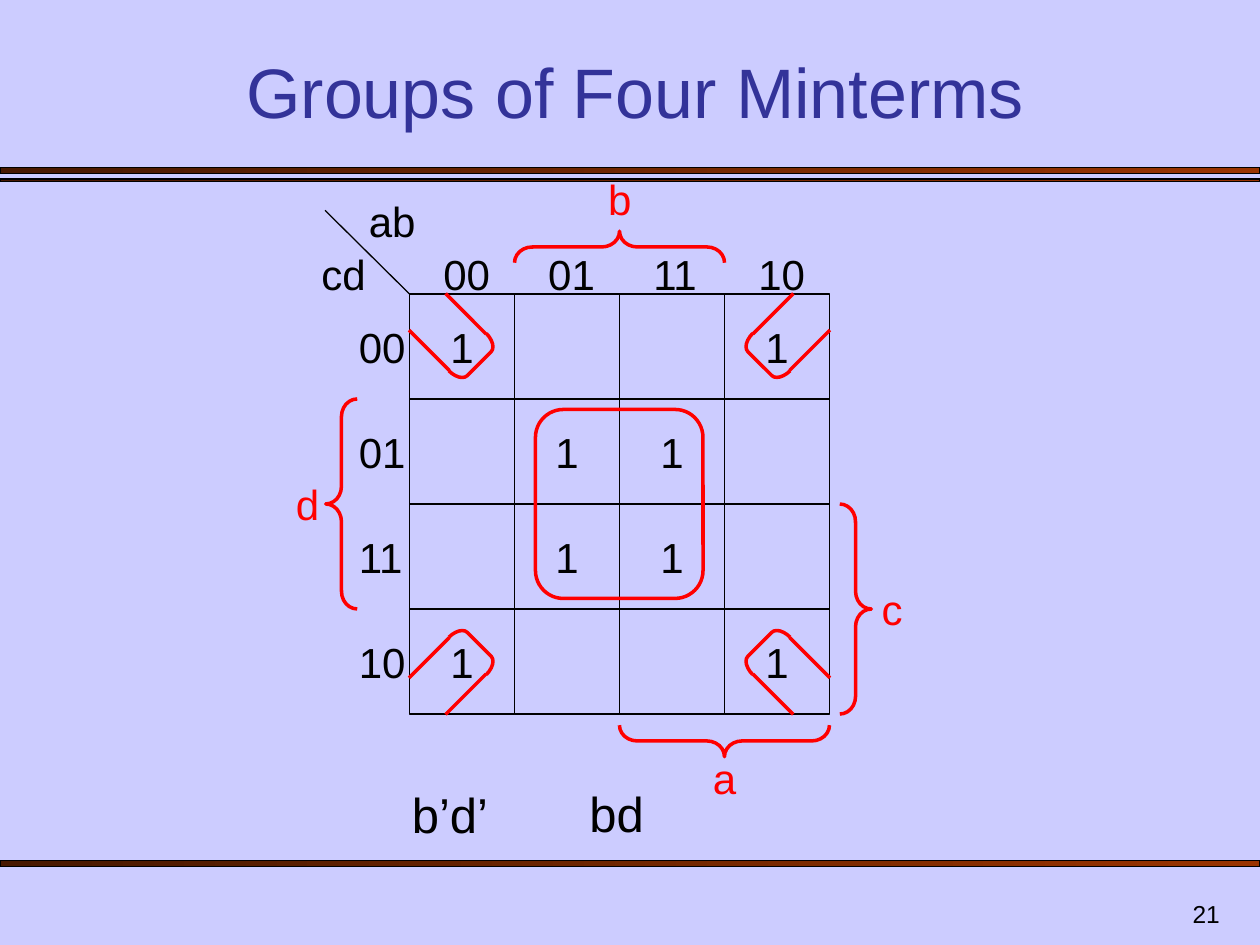
import itertools

import lxml.etree
import pptx
import pptx.dml.color
import pptx.enum.shapes
import pptx.enum.text
import pptx.oxml.ns
import pptx.util

Inches = pptx.util.Inches
SHAPE = pptx.enum.shapes.MSO_SHAPE
ALIGN = pptx.enum.text.PP_ALIGN
ANCHOR = pptx.enum.text.MSO_ANCHOR

BLACK = "000000"
RED = "FF0000"
CELL = 5 / 6
GRID_LEFT, GRID_TOP = 3.25, 7 / 3
MID_X, MID_Y = GRID_LEFT + 2 * CELL, GRID_TOP + 2 * CELL
CODES = ["00", "01", "11", "10"]
MINTERMS = [(0, 0), (0, 3), (1, 1), (1, 2), (2, 1), (2, 2), (3, 0), (3, 3)]


def rgb(color):
    return pptx.dml.color.RGBColor.from_string(color)


def format_text(tf, text, size, color, align):
    tf.text = text
    p = tf.paragraphs[0]
    p.alignment = align
    r = p.runs[0]
    r.font.size = pptx.util.Pt(size)
    r.font.name = "Arial"
    r.font.color.rgb = rgb(color)


def add_title(slide, text):
    s = slide.shapes.title
    s.left, s.top = Inches(0.58), Inches(0.42)
    s.width, s.height = Inches(8.92), Inches(0.68)
    s.text_frame.vertical_anchor = ANCHOR.BOTTOM
    format_text(s.text_frame, text, 40, "333399", ALIGN.CENTER)


def add_label(slide, text, x, y, w, h=0.5, size=24, color=BLACK, align=ALIGN.LEFT):
    s = slide.shapes.add_textbox(Inches(x), Inches(y), Inches(w), Inches(h))
    tf = s.text_frame
    tf.word_wrap = True
    format_text(tf, text, size, color, align)
    return s


def add_outline(shapes, kind, x, y, w, h, color=RED, width=2, rotation=0):
    s = shapes.add_shape(kind, Inches(x), Inches(y), Inches(w), Inches(h))
    s.shadow.inherit = False
    s.fill.background()
    s.line.color.rgb = rgb(color)
    s.line.width = pptx.util.Pt(width)
    s.rotation = rotation
    return s


def add_line(shapes, x1, y1, x2, y2, color=RED, width=2):
    s = shapes.add_connector(
        pptx.enum.shapes.MSO_CONNECTOR.STRAIGHT,
        Inches(x1), Inches(y1), Inches(x2), Inches(y2))
    s.line.color.rgb = rgb(color)
    s.line.width = pptx.util.Pt(width)
    lxml.etree.SubElement(s._element.spPr, pptx.oxml.ns.qn("a:effectLst"))


def add_bar(slide, y, h):
    s = add_outline(slide.shapes, SHAPE.RECTANGLE, 0, y, 10, h, BLACK, 0.75)
    s.fill.gradient()
    s.fill.gradient_angle = 0
    for stop, color in zip(s.fill.gradient_stops, ["471800", "993300"]):
        stop.color.rgb = rgb(color)


def add_brace(slide, x, y, rotation):
    w, h = 0.25, 2 * CELL
    s = add_outline(slide.shapes, SHAPE.LEFT_BRACE, x - w / 2, y - h / 2, w, h,
                    rotation=rotation)
    s.adjustments[0] = 0.56


def add_corner(slide, dx, dy, rotation):
    shapes = slide.shapes.add_group_shape().shapes
    w, h = 0.13, 0.42
    s = add_outline(shapes, SHAPE.LEFT_BRACKET, MID_X + dx * 1.16 - w / 2,
                    MID_Y + dy * 1.16 - h / 2, w, h, rotation=rotation)
    s.adjustments[0] = 0.58
    for near_x, near_y in [(1.06, 1.35), (1.35, 1.06)]:
        add_line(shapes, MID_X + dx * near_x, MID_Y + dy * near_y,
                 MID_X + dx * (near_x + 0.32), MID_Y + dy * (near_y + 0.32))


def add_map(slide):
    for row, col in itertools.product(range(4), repeat=2):
        add_outline(slide.shapes, SHAPE.RECTANGLE, GRID_LEFT + col * CELL,
                    GRID_TOP + row * CELL, CELL, CELL, BLACK, 0.75)
    for i, code in enumerate(CODES):
        add_label(slide, code, 3.42 + i * CELL, 1.92, 0.6)
        add_label(slide, code, 2.75, 2.5 + i * CELL, 0.6)
    for row, col in MINTERMS:
        add_label(slide, "1", GRID_LEFT + col * CELL, 2.5 + row * CELL, CELL,
                  align=ALIGN.CENTER)
    add_line(slide.shapes, 2.58, 1.67, GRID_LEFT, GRID_TOP, BLACK, 0.75)
    add_label(slide, "ab", 2.83, 1.5, 0.67)
    add_label(slide, "cd", 2.42, 1.92, 0.58, align=ALIGN.RIGHT)


def add_groups(slide):
    add_outline(slide.shapes, SHAPE.ROUNDED_RECTANGLE, 4.25, 3.25, 1.33, 1.5)
    for dx, dy, rotation in [(1, -1, 315), (-1, -1, 225), (-1, 1, 135), (1, 1, 45)]:
        add_corner(slide, dx, dy, rotation)
    add_label(slide, "b’d’", 3.17, 6.18, 0.92, 0.57, 28)
    add_label(slide, "bd", 4.58, 6.17, 0.92, 0.57, 28)


def add_variables(slide):
    for name, x, y, rotation, label_x, label_y, align in [
        ("a", MID_X + CELL, 5.88, 270, 5.5, 5.92, ALIGN.CENTER),
        ("b", MID_X, 1.96, 90, 4.67, 1.33, ALIGN.CENTER),
        ("c", 6.79, MID_Y + CELL, 180, 6.83, 4.58, ALIGN.CENTER),
        ("d", 2.71, MID_Y, 0, 2.25, 3.75, ALIGN.LEFT),
    ]:
        add_brace(slide, x, y, rotation)
        add_label(slide, name, label_x, label_y, 0.5, color=RED, align=align)


def main():
    prs = pptx.Presentation()
    prs.slide_width, prs.slide_height = Inches(10), Inches(7.5)
    slide = prs.slides.add_slide(prs.slide_layouts[5])
    slide.background.fill.solid()
    slide.background.fill.fore_color.rgb = rgb("CCCCFF")
    for y, h in [(1.33, 0.05), (1.42, 0.02), (6.83, 0.05)]:
        add_bar(slide, y, h)
    add_title(slide, "Groups of Four Minterms")
    s = add_label(slide, "21", 7.7, 7, 2.08, 0.42, 14, align=ALIGN.RIGHT)
    s.text_frame.vertical_anchor = ANCHOR.BOTTOM
    add_map(slide)
    add_groups(slide)
    add_variables(slide)
    prs.save("out.pptx")


if __name__ == "__main__":
    main()
